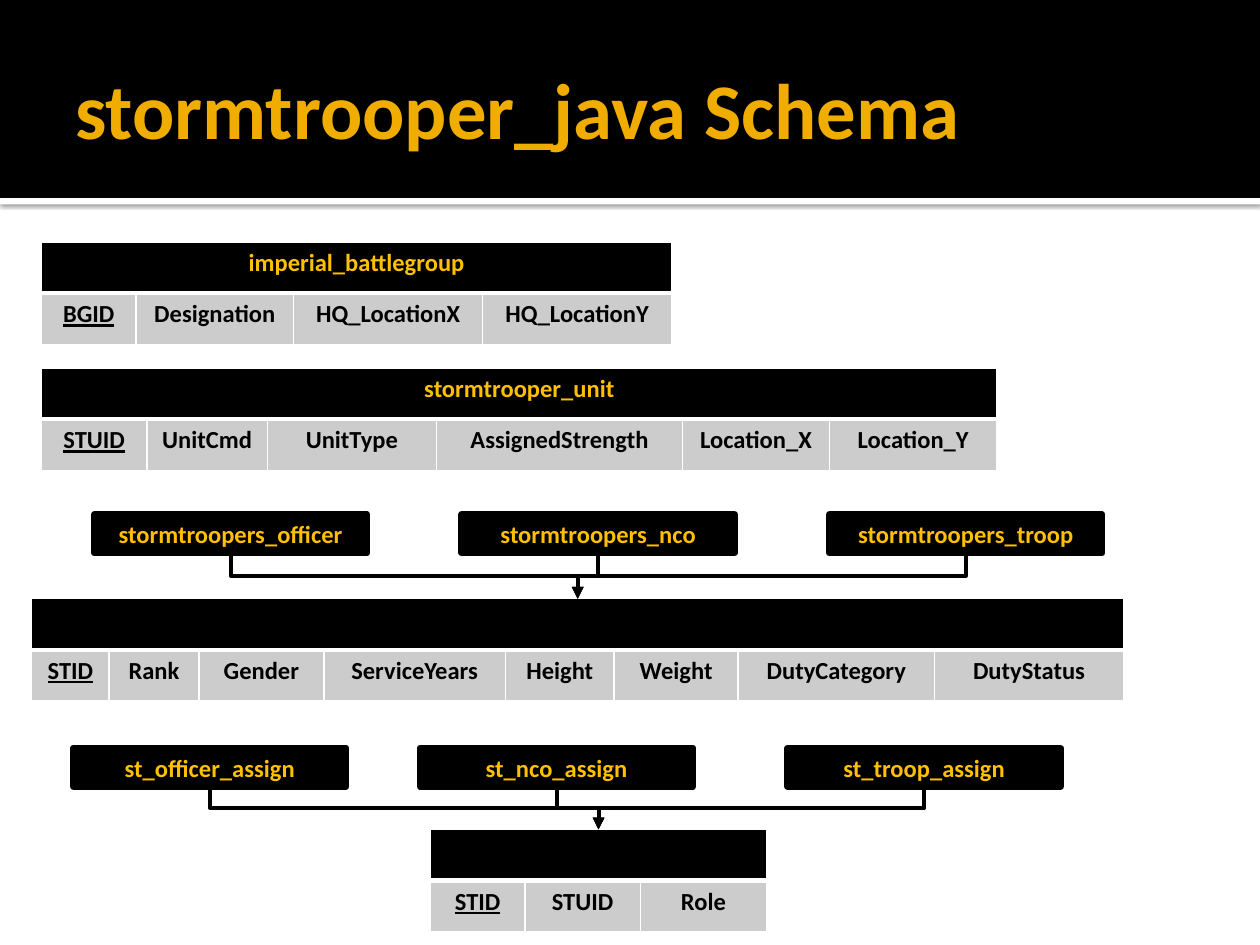
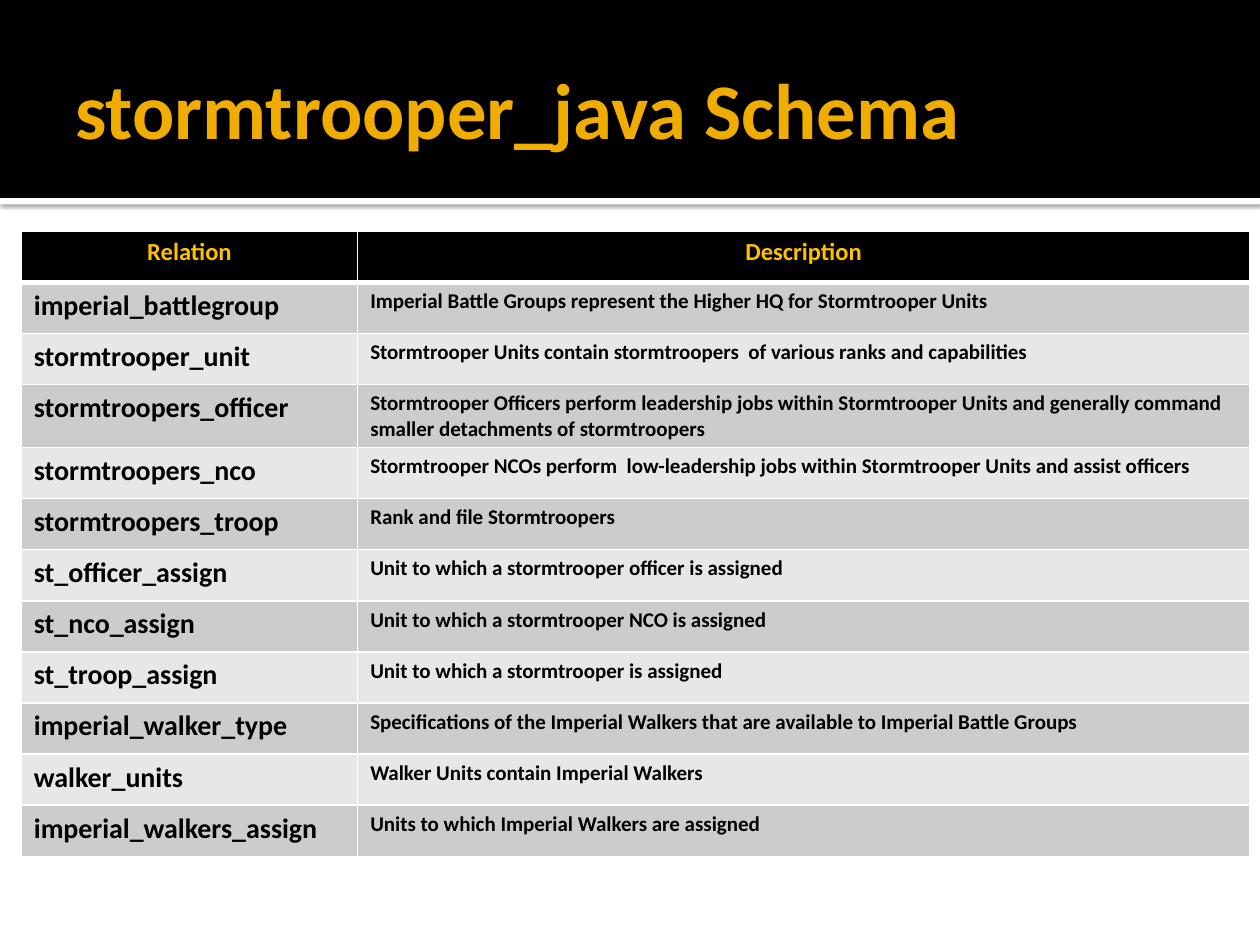
from dataclasses import dataclass

from lxml.etree import SubElement
from pptx import Presentation
from pptx.dml.color import RGBColor
from pptx.enum.shapes import MSO_CONNECTOR, MSO_SHAPE
from pptx.enum.text import MSO_ANCHOR, PP_ALIGN
from pptx.oxml.ns import qn
from pptx.shapes.autoshape import Shape
from pptx.shapes.graphfrm import GraphicFrame
from pptx.slide import Slide
from pptx.table import _Cell
from pptx.text.text import TextFrame
from pptx.util import Cm, Pt


@dataclass(frozen=True)
class Theme:
    font: str = "Calibri"
    black: str = "000000"
    white: str = "FFFFFF"
    title: str = "F0AD00"
    gold: str = "FFC000"
    band_dark: str = "CCCCCC"
    band_light: str = "E7E7E7"
    title_size: float = 45
    name_size: float = 16
    label_size: float = 14
    note_size: float = 12
    box_line: float = 3.78
    arrow_line: float = 2.25
    cell_line: float = 1
    header_line: float = 3


@dataclass(frozen=True)
class Relation:
    name: str
    left: float
    top: float
    columns: tuple[tuple[str, float], ...]


@dataclass(frozen=True)
class SubtypeRow:
    top: float
    boxes: tuple[tuple[str, float], ...]
    relation: Relation


THEME = Theme()
WIDTH, HEIGHT = 25.4, 19.05
BAND_HEIGHT, STRIPE_HEIGHT = 3.99, 0.13
ROW_HEIGHT = 1.03
BOX_WIDTH, BOX_HEIGHT = 5.5, 0.78

BATTLEGROUP = Relation("imperial_battlegroup", 0.84, 4.88, (
    ("BGID", 1.9), ("Designation", 3.18),
    ("HQ_LocationX", 3.81), ("HQ_LocationY", 3.81)))
UNIT = Relation("stormtrooper_unit", 0.84, 7.42, (
    ("STUID", 2.12), ("UnitCmd", 2.43), ("UnitType", 3.41),
    ("AssignedStrength", 4.96), ("Location_X", 2.96), ("Location_Y", 3.38)))
TROOPERS = Relation("", 0.64, 12.07, (
    ("STID", 1.56), ("Rank", 1.81), ("Gender", 2.52), ("ServiceYears", 3.66),
    ("Height", 2.19), ("Weight", 2.5), ("DutyCategory", 3.96), ("DutyStatus", 3.81)))
ASSIGNMENTS = Relation("", 8.68, 16.72, (
    ("STID", 1.9), ("STUID", 2.33), ("Role", 2.54)))

SUBTYPES = (
    SubtypeRow(10.37, (("stormtroopers_officer", 1.9), ("stormtroopers_nco", 9.31),
                       ("stormtroopers_troop", 16.72)), TROOPERS),
    SubtypeRow(15.08, (("st_officer_assign", 1.48), ("st_nco_assign", 8.47),
                       ("st_troop_assign", 15.88)), ASSIGNMENTS),
)

DESCRIPTIONS = (
    ("imperial_battlegroup",
     "Imperial Battle Groups represent the Higher HQ for Stormtrooper Units"),
    ("stormtrooper_unit",
     "Stormtrooper Units contain stormtroopers  of various ranks and capabilities"),
    ("stormtroopers_officer",
     "Stormtrooper Officers perform leadership jobs within Stormtrooper Units "
     "and generally command smaller detachments of stormtroopers"),
    ("stormtroopers_nco",
     "Stormtrooper NCOs perform  low-leadership jobs within Stormtrooper Units "
     "and assist officers"),
    ("stormtroopers_troop", "Rank and file Stormtroopers"),
    ("st_officer_assign", "Unit to which a stormtrooper officer is assigned"),
    ("st_nco_assign", "Unit to which a stormtrooper NCO is assigned"),
    ("st_troop_assign", "Unit to which a stormtrooper is assigned"),
    ("imperial_walker_type",
     "Specifications of the Imperial Walkers that are available to Imperial Battle Groups"),
    ("walker_units", "Walker Units contain Imperial Walkers"),
    ("imperial_walkers_assign", "Units to which Imperial Walkers are assigned"),
)


def write(tf: TextFrame, text: str, *, size: float = THEME.label_size,
          color: str = THEME.black, align: PP_ALIGN = PP_ALIGN.CENTER,
          underline: bool = False) -> None:
    p = tf.paragraphs[0]
    p.alignment = align
    r = p.add_run()
    r.text = text
    r.font.name = THEME.font
    r.font.size = Pt(size)
    r.font.bold = True
    r.font.underline = underline
    r.font.color.rgb = RGBColor.from_string(color)


def add_rect(s: Slide, left: float, top: float, width: float, height: float,
             color: str, line: float = 0) -> Shape:
    sp = s.shapes.add_shape(MSO_SHAPE.RECTANGLE, Cm(left), Cm(top), Cm(width), Cm(height))
    sp.shadow.inherit = False
    sp.fill.solid()
    sp.fill.fore_color.rgb = RGBColor.from_string(color)
    if line:
        sp.line.width = Pt(line)
        sp.line.color.rgb = RGBColor.from_string(color)
    else:
        sp.line.fill.background()
    return sp


def add_shadow(sp: Shape) -> None:
    effects = sp._element.spPr.find(qn("a:effectLst"))
    shadow = SubElement(effects, qn("a:outerShdw"), blurRad=str(Pt(2.5)),
                        dist=str(Pt(0.8)), dir="5400000", rotWithShape="0")
    color = SubElement(shadow, qn("a:srgbClr"), val=THEME.black)
    SubElement(color, qn("a:alpha"), val="60000")


def add_titled_slide(prs: Presentation, title: str) -> Slide:
    s = prs.slides.add_slide(prs.slide_layouts[6])
    add_shadow(add_rect(s, 0, BAND_HEIGHT, WIDTH, STRIPE_HEIGHT, THEME.white))
    add_rect(s, 0, 0, WIDTH, BAND_HEIGHT, THEME.black)
    tf = s.shapes.add_textbox(Cm(1.27), Cm(0.43), Cm(22.86), Cm(3.48)).text_frame
    tf.word_wrap = True
    tf.vertical_anchor = MSO_ANCHOR.MIDDLE
    tf.margin_left = Cm(0.25)
    tf.margin_top = tf.margin_right = tf.margin_bottom = Cm(0.13)
    write(tf, title, size=THEME.title_size, color=THEME.title, align=PP_ALIGN.LEFT)
    return s


def style_cell(cell: _Cell, fill: str, top: float, bottom: float) -> None:
    tc_pr = cell._tc.get_or_add_tcPr()
    sides = (("L", THEME.cell_line), ("R", THEME.cell_line), ("T", top), ("B", bottom))
    for side, width in sides:
        ln = SubElement(tc_pr, qn(f"a:ln{side}"), w=str(Pt(width)))
        color = SubElement(ln, qn("a:solidFill"))
        SubElement(color, qn("a:srgbClr"), val=THEME.white)
    cell.fill.solid()
    cell.fill.fore_color.rgb = RGBColor.from_string(fill)


def add_grid(s: Slide, left: float, top: float, widths: list[float],
             row_count: int) -> GraphicFrame:
    frame = s.shapes.add_table(row_count, len(widths), Cm(left), Cm(top),
                               Cm(sum(widths)), Cm(ROW_HEIGHT * row_count))
    table = frame.table
    for column, width in zip(table.columns, widths):
        column.width = Cm(width)
    fills = (THEME.band_light, THEME.band_dark)
    for i, row in enumerate(table.rows):
        row.height = Cm(ROW_HEIGHT)
        for cell in row.cells:
            style_cell(cell, fills[i % 2] if i else THEME.black,
                       THEME.header_line if i == 1 else THEME.cell_line,
                       THEME.header_line if i == 0 else THEME.cell_line)
    return frame


def add_relation(s: Slide, relation: Relation) -> GraphicFrame:
    widths = [width for _, width in relation.columns]
    frame = add_grid(s, relation.left, relation.top, widths, 2)
    table = frame.table
    header = table.cell(0, 0)
    header.merge(table.cell(0, len(widths) - 1))
    if relation.name:
        write(header.text_frame, relation.name, color=THEME.gold)
    for i, (field, _) in enumerate(relation.columns):
        write(table.cell(1, i).text_frame, field, underline=i == 0)
    return frame


def add_elbow(s: Slide, box: Shape, frame: GraphicFrame) -> None:
    c = s.shapes.add_connector(MSO_CONNECTOR.ELBOW, 0, 0, 0, 0)
    c.begin_connect(box, 2)
    c.end_connect(frame, 0)
    x1, y1, x2, y2 = c.begin_x, c.begin_y, c.end_x, c.end_y
    drop, run = y2 - y1, abs(x2 - x1)
    c.left, c.top = (x1 + x2 - drop) // 2, (y1 + y2 - run) // 2
    c.width, c.height = drop, run
    goes_right = x2 > x1
    xfrm = c._element.spPr.find(qn("a:xfrm"))
    xfrm.set("rot", "16200000" if goes_right else "5400000")
    xfrm.set("flipH", "1" if goes_right else "0")
    xfrm.set("flipV", "0")
    c.line.width = Pt(THEME.arrow_line)
    c.line.color.rgb = RGBColor.from_string(THEME.black)
    SubElement(c.line._get_or_add_ln(), qn("a:tailEnd"), type="triangle")
    SubElement(c._element.spPr, qn("a:effectLst"))


def add_subtypes(s: Slide, row: SubtypeRow) -> None:
    frame = add_relation(s, row.relation)
    for name, left in row.boxes:
        box = add_rect(s, left, row.top, BOX_WIDTH, BOX_HEIGHT, THEME.black, THEME.box_line)
        box.text_frame.vertical_anchor = MSO_ANCHOR.MIDDLE
        write(box.text_frame, name, color=THEME.gold)
        add_elbow(s, box, frame)


def add_descriptions(s: Slide) -> None:
    table = add_grid(s, 0.43, 4.66, [6.78, 17.98], len(DESCRIPTIONS) + 1).table
    for i, heading in enumerate(("Relation", "Description")):
        write(table.cell(0, i).text_frame, heading, color=THEME.gold)
    for i, texts in enumerate(DESCRIPTIONS, start=1):
        for j, (text, size) in enumerate(zip(texts, (THEME.name_size, THEME.note_size))):
            write(table.cell(i, j).text_frame, text, size=size, align=PP_ALIGN.LEFT)


def main() -> None:
    prs = Presentation()
    prs.slide_width, prs.slide_height = Cm(WIDTH), Cm(HEIGHT)
    title = "stormtrooper_java Schema"

    s = add_titled_slide(prs, title)
    for relation in (BATTLEGROUP, UNIT):
        add_relation(s, relation)
    for row in SUBTYPES:
        add_subtypes(s, row)

    add_descriptions(add_titled_slide(prs, title))
    prs.save("out.pptx")


if __name__ == "__main__":
    main()
